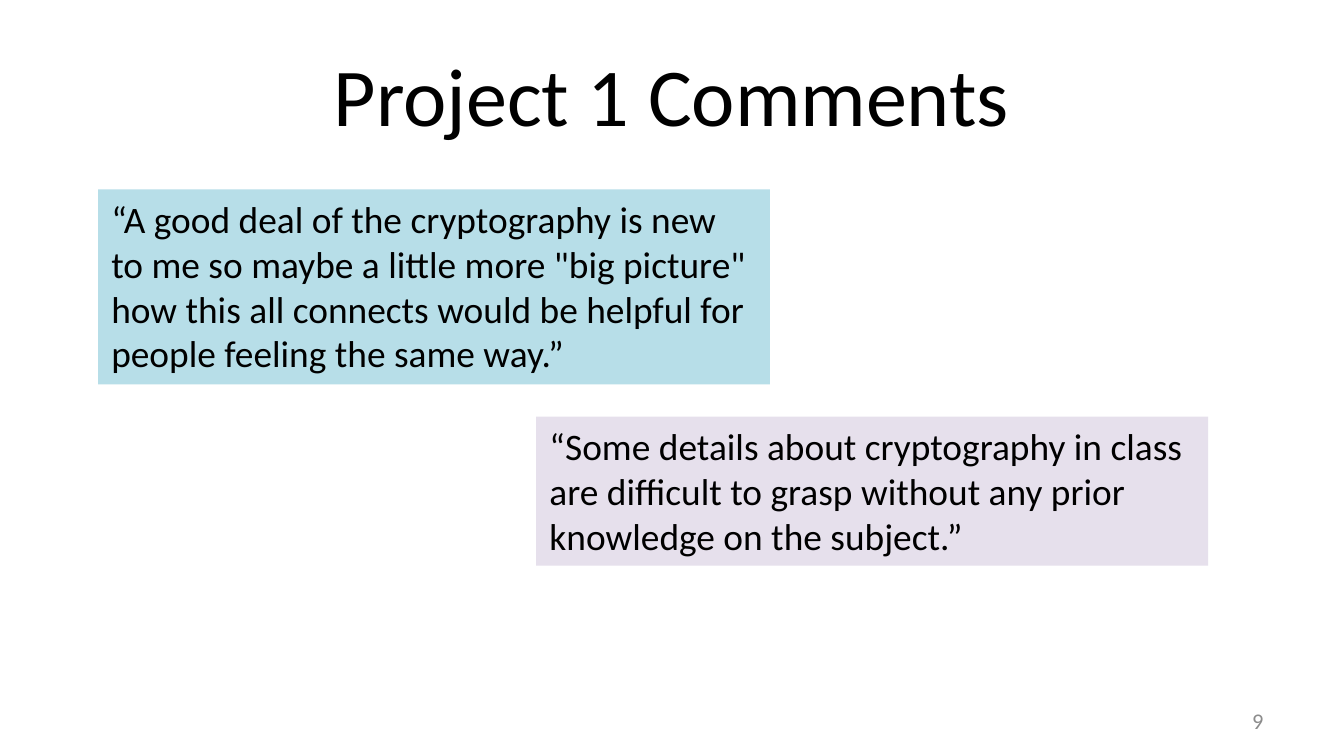
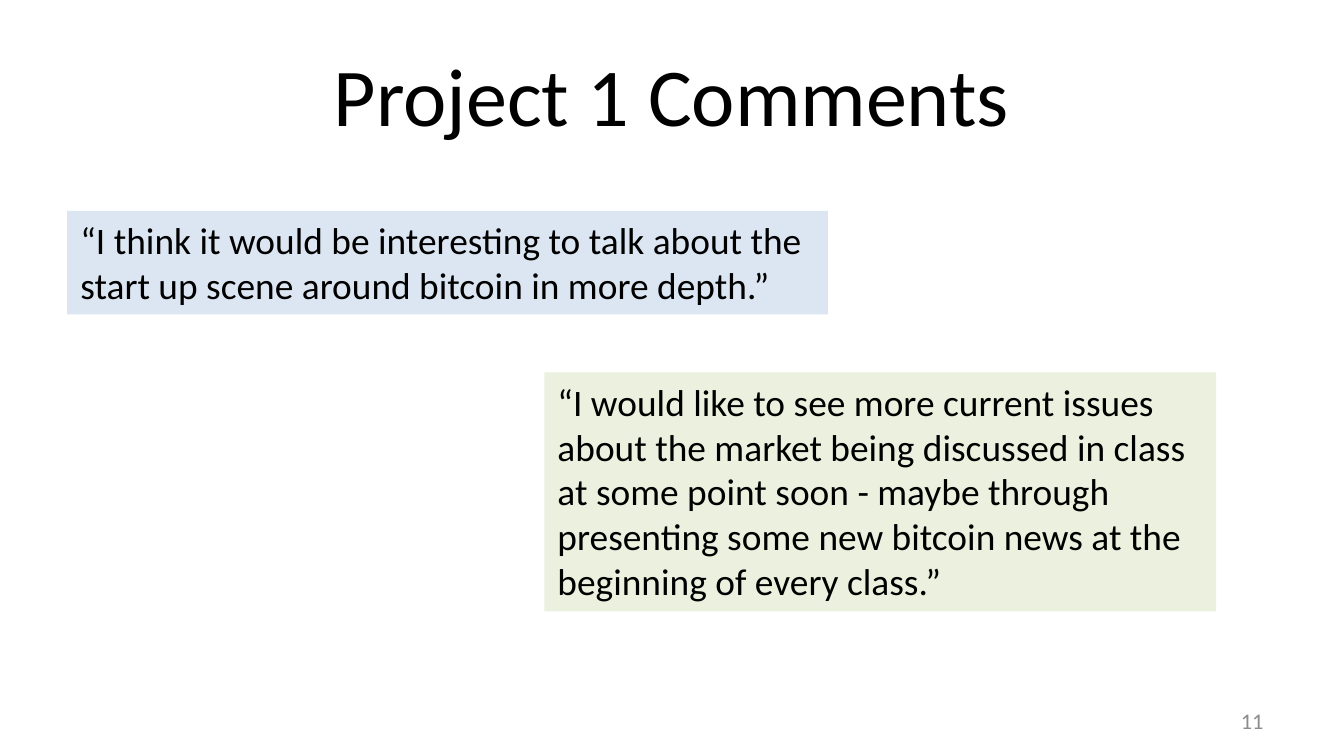
from pptx import Presentation
from pptx.dml.color import RGBColor
from pptx.enum.shapes import MSO_SHAPE
from pptx.enum.text import MSO_ANCHOR, MSO_AUTO_SIZE, PP_ALIGN
from pptx.util import Inches, Pt

RECT = MSO_SHAPE.RECTANGLE
MIDDLE, TOP = MSO_ANCHOR.MIDDLE, MSO_ANCHOR.TOP
LEFT, CENTER, RIGHT = PP_ALIGN.LEFT, PP_ALIGN.CENTER, PP_ALIGN.RIGHT
NO_FIT, GROW = MSO_AUTO_SIZE.NONE, MSO_AUTO_SIZE.SHAPE_TO_FIT_TEXT

FONT = "Calibri"
TITLE_BOX = (0.5, 0.23, 9, 0.94)
NUMBER_BOX = (7.17, 5.21, 2.33, 0.3)
COLORS = {
    "text": "000000",
    "number": "8C8C8C",
    "aqua": "B7DEE8",
    "lilac": "E6E0EC",
    "blue": "DCE6F2",
    "green": "EBF1DE",
}

# Each slide: number, then its quotes as (box, fill, text)
SLIDES = [
    (9, [
        ((0.73, 1.41, 5, 1.45), "aqua",
         "“A good deal of the cryptography is new to me so maybe a little more "
         "\"big picture\" how this all connects would be helpful for people "
         "feeling the same way.”"),
        ((3.99, 3.1, 5, 1.11), "lilac",
         "“Some details about cryptography in class are difficult to grasp "
         "without any prior knowledge on the subject.”"),
    ]),
    (11, [
        ((0.5, 1.57, 5.66, 0.77), "blue",
         "“I think it would be interesting to talk about the start up scene "
         "around bitcoin in more depth.”"),
        ((4.05, 2.77, 5, 1.78), "green",
         "“I would like to see more current issues about the market being "
         "discussed in class at some point soon - maybe through presenting "
         "some new bitcoin news at the beginning of every class.”"),
    ]),
]


def inches(box):
    return [Inches(v) for v in box]


def write(sp, text, size, color, align, anchor, fit=NO_FIT):
    tf = sp.text_frame
    tf.word_wrap = True
    tf.auto_size = fit
    tf.vertical_anchor = anchor
    p = tf.paragraphs[0]
    p.alignment = align
    r = p.add_run()
    r.text = text
    r.font.name = FONT
    r.font.size = Pt(size)
    r.font.color.rgb = RGBColor.from_string(COLORS[color])


def add_title(s, text, box):
    sp = s.shapes.title
    sp.left, sp.top, sp.width, sp.height = inches(box)
    write(sp, text, 44, "text", CENTER, MIDDLE)


def add_number(s, number, box):
    sp = s.shapes.add_textbox(*inches(box))
    write(sp, str(number), 12, "number", RIGHT, MIDDLE)


def add_quote(s, box, fill, text):
    sp = s.shapes.add_shape(RECT, *inches(box))
    sp.shadow.inherit = False
    sp.fill.solid()
    sp.fill.fore_color.rgb = RGBColor.from_string(COLORS[fill])
    sp.line.fill.background()
    write(sp, text, 20, "text", LEFT, TOP, GROW)


def add_comments_slide(prs, number, quotes):
    s = prs.slides.add_slide(prs.slide_layouts.get_by_name("Title Only"))
    add_title(s, "Project 1 Comments", TITLE_BOX)
    add_number(s, number, NUMBER_BOX)
    for box, fill, text in quotes:
        add_quote(s, box, fill, text)


def main():
    prs = Presentation()
    prs.slide_width, prs.slide_height = Inches(10), Inches(10 * 9 / 16)
    for number, quotes in SLIDES:
        add_comments_slide(prs, number, quotes)
    prs.save("out.pptx")


if __name__ == "__main__":
    main()
